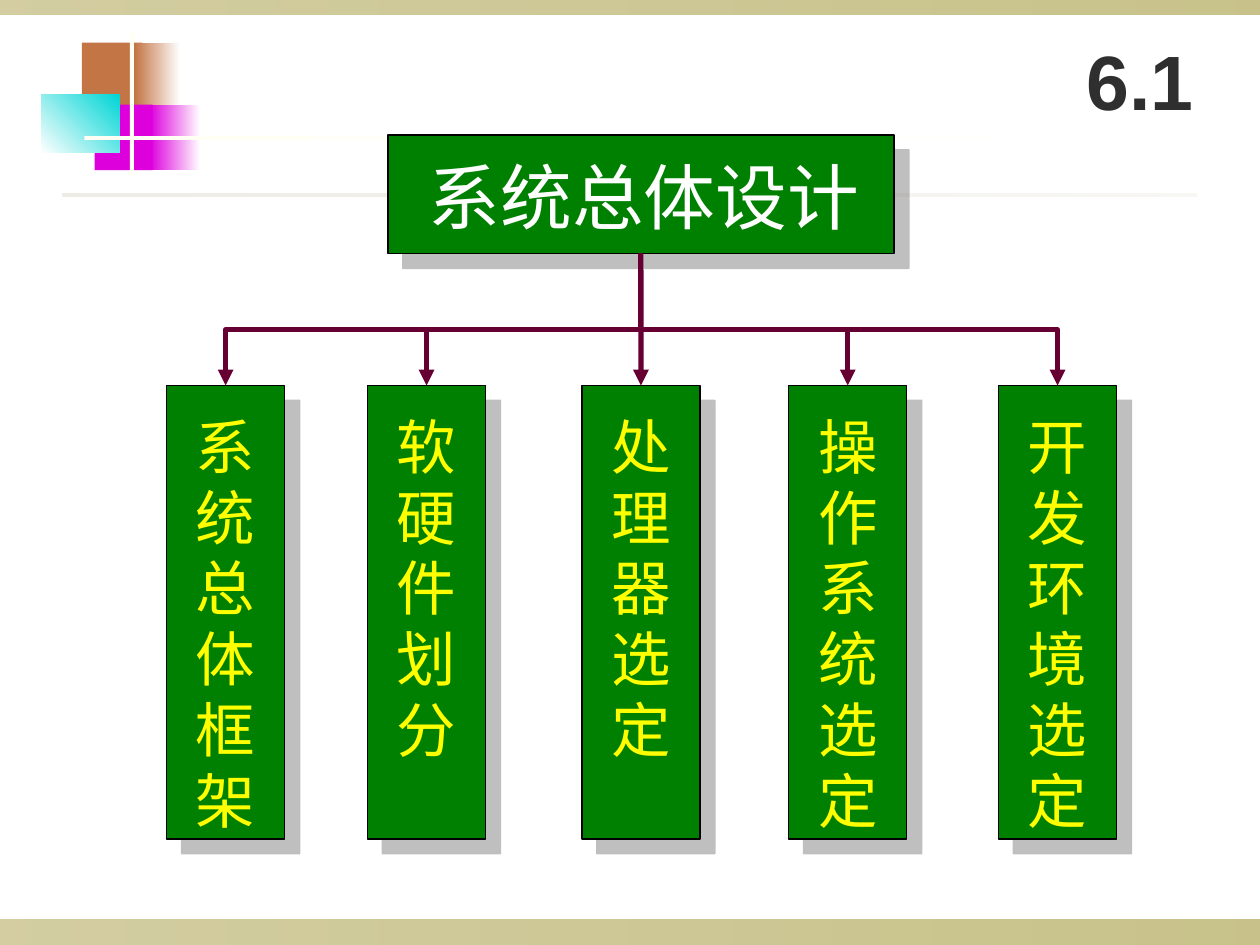
from dataclasses import dataclass

from lxml.etree import SubElement
from pptx import Presentation
from pptx.dml.color import RGBColor
from pptx.enum.shapes import MSO_CONNECTOR, MSO_SHAPE
from pptx.enum.text import MSO_ANCHOR, MSO_AUTO_SIZE, PP_ALIGN
from pptx.oxml.ns import qn
from pptx.util import Cm, Pt


@dataclass(frozen=True)
class Theme:
    """Colours, fonts and type sizes of the slide."""
    olive: str = "918415"
    copper: str = "C47546"
    pink: str = "DD00DD"
    cyan: str = "00D5D5"
    cream: str = "FFFFF4"
    sand: str = "DCD9CC"
    white: str = "FFFFFF"
    black: str = "000000"
    green: str = "008000"
    yellow: str = "FFFF00"
    wine: str = "660033"
    gray: str = "808080"
    ink: str = "2F2F2F"
    latin: str = "Arial"
    han: str = "Noto Sans CJK SC"
    title: int = 44
    root: int = 41
    leaf: int = 34
    lead: float = 1.19


def tint(code):
    """Return the colour for a hex code."""
    return RGBColor.from_string(code)


def write(shape, text, *, size, color, face, bold=False, pitch=None,
          anchor=MSO_ANCHOR.MIDDLE, inset=(0, 0), wrap=True):
    """Fill a shape with one centred line of text."""
    frame = shape.text_frame
    frame.word_wrap = wrap
    frame.auto_size = MSO_AUTO_SIZE.NONE
    frame.vertical_anchor = anchor
    frame.margin_left = frame.margin_right = Cm(inset[0])
    frame.margin_top = frame.margin_bottom = Cm(inset[1])
    para = frame.paragraphs[0]
    para.alignment = PP_ALIGN.CENTER
    if pitch:
        para.line_spacing = Pt(pitch)
    run = para.add_run()
    run.text = text
    font = run.font
    font.size, font.bold, font.name = Pt(size), bold, face
    font.color.rgb = tint(color)
    SubElement(font._element, qn("a:ea"), typeface=face)


class Deck:
    """Hold the style and the current slide."""

    def __init__(self, theme):
        """Start a deck with one title slide."""
        self.theme = theme
        self.file = Presentation()
        self.file.slide_width, self.file.slide_height = Cm(25.4), Cm(19.05)
        self.slide = self.file.slides.add_slide(self.file.slide_layouts[5])

    def rect(self, left, top, width, height):
        """Add a plain rectangle."""
        shape = self.slide.shapes.add_shape(
            MSO_SHAPE.RECTANGLE, *map(Cm, (left, top, width, height)))
        shape.shadow.inherit = False
        shape.line.fill.background()
        return shape

    def block(self, area, color):
        """Add a rectangle of one colour."""
        shape = self.rect(*area)
        shape.fill.solid()
        shape.fill.fore_color.rgb = tint(color)
        return shape

    def fade(self, area, start, end, angle=0, alpha=(100, 100)):
        """Add a rectangle with a two-colour gradient."""
        shape = self.rect(*area)
        shape.fill.gradient()
        shape.fill.gradient_angle = angle
        for stop, code in zip(shape.fill.gradient_stops, (start, end)):
            stop.color.rgb = tint(code)
        nodes = shape.element.xpath(".//a:gradFill//a:srgbClr")
        for node, part in zip(nodes, alpha):
            if part < 100:
                SubElement(node, qn("a:alpha"), val=str(part * 1000))

    def card(self, area):
        """Add a green box with a hard shadow."""
        shape = self.block(area, self.theme.green)
        shape.line.color.rgb = tint(self.theme.black)
        shape.line.width = Pt(0.88)
        effect = shape.element.spPr.find(qn("a:effectLst"))
        shade = SubElement(effect, qn("a:outerShdw"), blurRad="0",
                           dist=str(Pt(12.1)), dir="2700000",
                           algn="ctr", rotWithShape="0")
        color = SubElement(shade, qn("a:srgbClr"), val=self.theme.gray)
        SubElement(color, qn("a:alpha"), val="50000")
        return shape

    def label(self, area, text, size, color):
        """Add a tight text box."""
        box = self.slide.shapes.add_textbox(*map(Cm, area))
        write(box, text, size=size, color=color, face=self.theme.han,
              pitch=size * self.theme.lead, anchor=MSO_ANCHOR.TOP, wrap=False)

    def arrow(self, shape):
        """Give a line its colour, width and arrowhead."""
        shape.line.color.rgb = tint(self.theme.wine)
        shape.line.width = Pt(3)
        SubElement(shape.line._get_or_add_ln(), qn("a:tailEnd"), type="triangle")

    def join(self, upper, lower):
        """Link two boxes with a straight arrow."""
        line = self.slide.shapes.add_connector(MSO_CONNECTOR.STRAIGHT, 0, 0, 0, 0)
        line.begin_connect(upper, 2)
        line.end_connect(lower, 0)
        self.arrow(line)
        SubElement(line.element.spPr, qn("a:effectLst"))

    def branch(self, start, bend, end):
        """Draw a bent arrow that turns at the given height."""
        points = [start, (start[0], bend), (end[0], bend), end]
        first, *rest = [(Cm(x), Cm(y)) for x, y in points]
        path = self.slide.shapes.build_freeform(*first)
        path.add_line_segments(rest, close=False)
        shape = path.convert_to_shape()
        shape.shadow.inherit = False
        shape.fill.background()
        self.arrow(shape)

    def head(self, area, text):
        """Place the slide title."""
        shape = self.slide.shapes.title
        shape.left, shape.top, shape.width, shape.height = map(Cm, area)
        write(shape, text, size=self.theme.title, color=self.theme.ink,
              face=self.theme.latin, bold=True, inset=(0.25, 0.13))


def decor(deck):
    """Draw the bands, the colour blocks and the rules."""
    t = deck.theme
    for top, height in ((18.54, 0.51), (0, 0.3)):
        deck.fade((0, top, 25.4, height), t.olive, t.olive, alpha=(40, 50))
    deck.block((1.65, 0.86, 1.22, 1.32), t.copper)
    deck.fade((2.72, 0.86, 0.91, 1.32), t.copper, t.white)
    deck.fade((3.02, 2.11, 1.02, 1.32), t.pink, t.white)
    deck.block((1.91, 2.11, 1.17, 1.32), t.pink)
    deck.block((2.62, 0.64, 0.08, 2.92), t.cream)
    deck.fade((0.83, 1.9, 1.58, 1.18), t.white, t.cyan, angle=45)
    deck.fade((1.7, 2.74, 22.86, 0.09), t.cream, t.white)
    deck.fade((1.26, 3.91, 22.86, 0.06), t.sand, t.sand, alpha=(50, 20))


def leaf(deck, x, top, name):
    """Draw one part with its name set downwards."""
    t = deck.theme
    wide, glyph, step = 2.38, 1.2, 1.43
    card = deck.card((x - wide / 2, top, wide, 9.14))
    for row, char in enumerate(name):
        area = (x - glyph / 2, top + 0.5 + row * step, glyph, step)
        deck.label(area, char, t.leaf, t.yellow)
    return card


def chart(deck):
    """Draw the root, its five parts and the arrows."""
    t = deck.theme
    mid, base, bend, top = 12.92, 5.11, 6.65, 7.77
    root = deck.card((mid - 5.1, 2.72, 10.2, base - 2.72))
    deck.label((8.64, 3.09, 8.69, 1.73), "系统总体设计", t.root, t.white)
    parts = {4.55: "系统总体框架", 8.6: "软硬件划分", mid: "处理器选定",
             17.09: "操作系统选定", 21.32: "开发环境选定"}
    cards = {x: leaf(deck, x, top, name) for x, name in parts.items()}
    for x, card in cards.items():
        if x == mid:
            deck.join(root, card)
        else:
            deck.branch((mid, base), bend, (x, top))


def main():
    """Build and save the slide."""
    deck = Deck(Theme())
    decor(deck)
    chart(deck)
    deck.head((21.39, 0.43, 3.18, 2.34), "6.1")
    deck.file.save("out.pptx")


if __name__ == "__main__":
    main()
